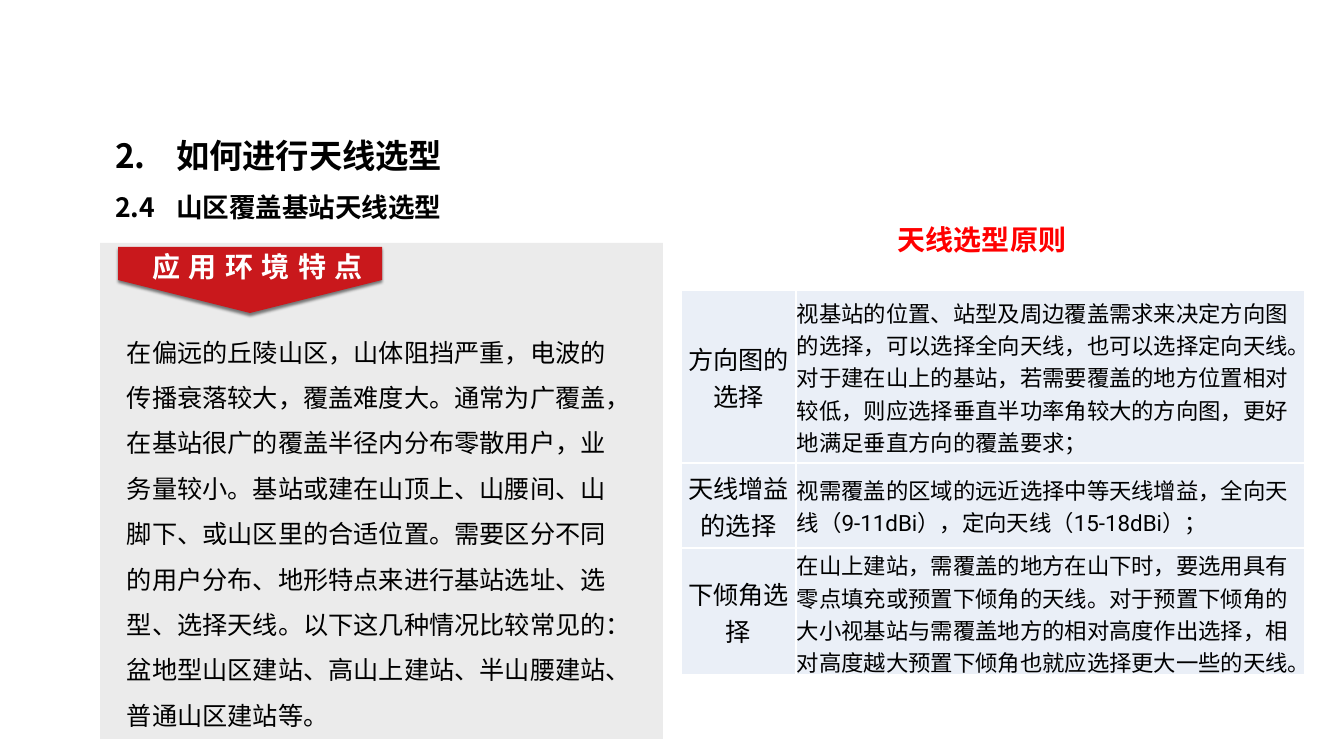
from dataclasses import dataclass

from lxml.etree import SubElement
from pptx import Presentation
from pptx.dml.color import RGBColor
from pptx.enum.shapes import MSO_SHAPE as Shape
from pptx.enum.text import MSO_ANCHOR as Anchor, MSO_AUTO_SIZE as Auto, PP_ALIGN as Align
from pptx.oxml.ns import qn
from pptx.util import Emu, Pt

SCALE = 914400 / 100.8


def px(n: int) -> Emu:
    return Emu(round(n * SCALE))


@dataclass(frozen=True)
class Theme:
    black: str = "000000"
    white: str = "FFFFFF"
    grey: str = "D9D9D9"
    red: str = "C9181C"
    alert: str = "FF0000"
    pale: str = "EAEFF7"
    cjk: str = "Noto Sans CJK SC"
    sans: str = "Arial"
    grid: str = "Roboto"
    title: float = 23.8
    sub: float = 19
    head: float = 20
    body: float = 18
    cell: float = 16


@dataclass(frozen=True)
class Style:
    size: float
    face: str
    color: str
    bold: bool = False
    align: Align = Align.LEFT
    lead: float = 1.0
    track: int = 0
    tab: int = 0


@dataclass(frozen=True)
class Box:
    left: int
    top: int
    width: int
    height: int

    def emu(self) -> list[Emu]:
        return [px(n) for n in (self.left, self.top, self.width, self.height)]


@dataclass(frozen=True)
class Label:
    box: Box
    text: str
    style: Style
    wrap: bool = True


@dataclass(frozen=True)
class Rule:
    height: int
    name: str
    text: str


T = Theme()
TITLE = Style(T.title, T.cjk, T.black, True, lead=1.5, tab=61)
SUB = Style(T.sub, T.cjk, T.black, True, lead=1.5, tab=61)
NAME = Style(T.body, T.grid, T.black, align=Align.CENTER)
CELL = Style(T.cell, T.grid, T.black)

LABELS = [
    Label(Box(130, 245, 255, 44), "应用环境特点",
          Style(T.head, T.cjk, T.white, True, Align.CENTER, track=600)),
    Label(Box(117, 317, 502, 422),
          "在偏远的丘陵山区，山体阻挡严重，电波的传播衰落较大，覆盖难度大。通常为广覆盖，"
          "在基站很广的覆盖半径内分布零散用户，业务量较小。基站或建在山顶上、山腰间、山脚下、"
          "或山区里的合适位置。需要区分不同的用户分布、地形特点来进行基站选址、选型、选择天线。"
          "以下这几种情况比较常见的：盆地型山区建站、高山上建站、半山腰建站、普通山区建站等。",
          Style(T.body, T.sans, T.black, lead=1.5)),
    Label(Box(888, 218, 190, 44), "天线选型原则",
          Style(T.head, T.sans, T.alert, True), wrap=False),
]
COLS = (115, 509)
RULES = [
    Rule(173, "方向图的选择",
         "视基站的位置、站型及周边覆盖需求来决定方向图的选择，可以选择全向天线，也可以选择定向天线。"
         "对于建在山上的基站，若需要覆盖的地方位置相对较低，则应选择垂直半功率角较大的方向图，"
         "更好地满足垂直方向的覆盖要求；"),
    Rule(85, "天线增益的选择",
         "视需覆盖的区域的远近选择中等天线增益，全向天线（9-11dBi），定向天线（15-18dBi）；"),
    Rule(127, "下倾角选择",
         "在山上建站，需覆盖的地方在山下时，要选用具有零点填充或预置下倾角的天线。"
         "对于预置下倾角的大小视基站与需覆盖地方的相对高度作出选择，"
         "相对高度越大预置下倾角也就应选择更大一些的天线。"),
]


def write(para, text: str, style: Style) -> None:
    para.alignment = style.align
    para.line_spacing = style.lead
    if style.tab:
        tabs = SubElement(para._p.get_or_add_pPr(), qn("a:tabLst"))
        SubElement(tabs, qn("a:tab"), pos=str(px(style.tab)), algn="l")
    run = para.add_run()
    run.text = text
    look = {"size": Pt(style.size), "name": style.face, "bold": style.bold}
    for key, value in look.items():
        setattr(run.font, key, value)
    run.font.color.rgb = RGBColor.from_string(style.color)
    props = run._r.get_or_add_rPr()
    SubElement(props, qn("a:ea"), typeface=T.cjk)
    if style.track:
        props.set("spc", str(style.track))


def put_title(slide) -> None:
    title = slide.shapes.title
    title.left, title.top, title.width, title.height = Box(105, 110, 405, 113).emu()
    frame = title.text_frame
    frame.auto_size, frame.vertical_anchor = Auto.NONE, Anchor.TOP
    write(frame.paragraphs[0], "2.\t如何进行天线选型", TITLE)
    write(frame.add_paragraph(), "2.4\t山区覆盖基站天线选型", SUB)


def put_shape(slide, kind: Shape, box: Box, color: str):
    shape = slide.shapes.add_shape(kind, *box.emu())
    shape.shadow.inherit = False
    shape.fill.solid()
    shape.fill.fore_color.rgb = RGBColor.from_string(color)
    shape.line.fill.background()
    return shape


def put_panel(slide) -> None:
    panel = put_shape(slide, Shape.RECTANGLE, Box(100, 243, 563, 496), T.grey)
    tint = panel._element.spPr.find(f".//{qn('a:srgbClr')}")
    SubElement(tint, qn("a:alpha"), val="50000")


def put_ribbon(slide) -> None:
    ribbon = put_shape(slide, Shape.PENTAGON, Box(217, 148, 66, 264), T.red)
    ribbon.rotation = 90
    glow = SubElement(ribbon._element.spPr.find(qn("a:effectLst")), qn("a:outerShdw"),
                      blurRad=str(Pt(2)), dist=str(Pt(2)), dir="5400000", rotWithShape="0")
    tint = SubElement(glow, qn("a:srgbClr"), val=T.black)
    SubElement(tint, qn("a:alpha"), val="50000")


def put_label(slide, label: Label) -> None:
    frame = slide.shapes.add_textbox(*label.box.emu()).text_frame
    frame.word_wrap = label.wrap
    write(frame.paragraphs[0], label.text, label.style)


def fill_cell(cell, text: str, style: Style) -> None:
    look = {"margin_left": px(1), "margin_right": px(1), "margin_top": px(1),
            "margin_bottom": 0, "vertical_anchor": Anchor.MIDDLE}
    for key, value in look.items():
        setattr(cell, key, value)
    props = cell._tc.get_or_add_tcPr()
    for side in ("lnL", "lnR", "lnT", "lnB"):
        line = SubElement(props, qn(f"a:{side}"), w=str(Pt(1)))
        SubElement(SubElement(line, qn("a:solidFill")), qn("a:srgbClr"), val=T.white)
    cell.fill.solid()
    cell.fill.fore_color.rgb = RGBColor.from_string(T.pale)
    write(cell.text_frame.paragraphs[0], text, style)


def put_table(slide) -> None:
    box = Box(681, 290, sum(COLS), sum(rule.height for rule in RULES))
    table = slide.shapes.add_table(len(RULES), len(COLS), *box.emu()).table
    table.first_row = table.horz_banding = False
    for col, width in zip(table.columns, COLS):
        col.width = px(width)
    for row, rule in zip(table.rows, RULES):
        row.height = px(rule.height)
        fill_cell(row.cells[0], rule.name, NAME)
        fill_cell(row.cells[1], rule.text, CELL)


def main() -> None:
    deck = Presentation()
    deck.slide_width, deck.slide_height = px(1344), px(756)
    slide = deck.slides.add_slide(deck.slide_layouts[5])
    put_title(slide)
    put_panel(slide)
    put_ribbon(slide)
    for label in LABELS:
        put_label(slide, label)
    put_table(slide)
    deck.save("out.pptx")


if __name__ == "__main__":
    main()
